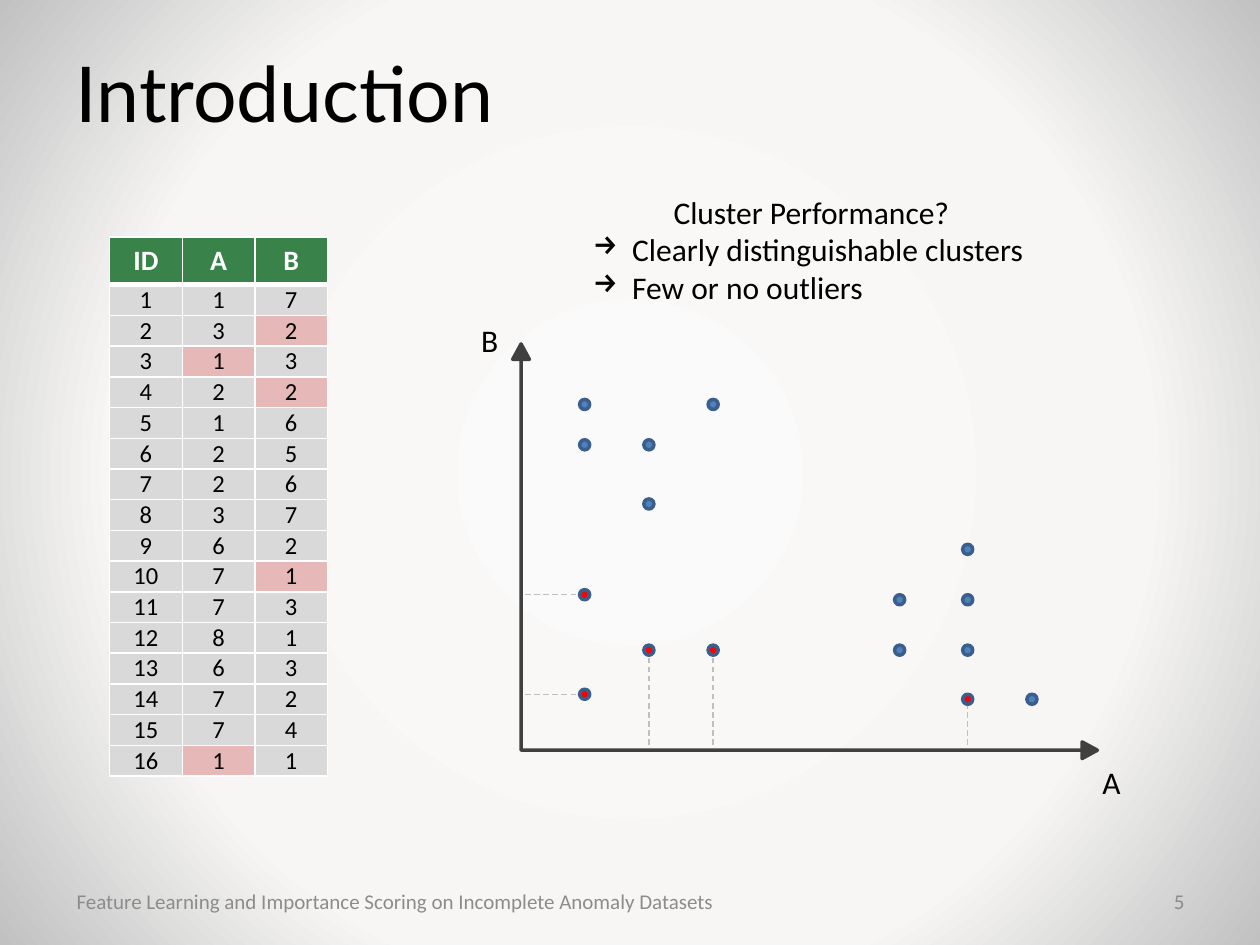
from lxml import etree
from pptx import Presentation, util as u
from pptx.dml.color import RGBColor
from pptx.enum import dml, shapes, text
from pptx.oxml import parse_xml
from pptx.oxml.ns import nsdecls, qn

ROWS = [(1, 7), (3, 2), (1, 3), (2, 2), (1, 6), (2, 5), (2, 6), (3, 7),
        (6, 2), (7, 1), (7, 3), (8, 1), (6, 3), (7, 2), (7, 4), (1, 1)]
LOST = {2: "B", 3: "A", 4: "B", 10: "B", 16: "A"}
COLS = {1: 46.4, 2: 51.5, 3: 56.6, 6: 71.4, 7: 76.8, 8: 81.9}
LINES = {1: 55.5, 2: 51.6, 3: 47.6, 4: 43.6, 5: 40, 6: 35.3, 7: 32.1}
MID, LEFT, RIGHT = text.PP_ALIGN.CENTER, text.PP_ALIGN.LEFT, text.PP_ALIGN.RIGHT


def hue(code):
    """Turn a hex string into a colour."""
    return RGBColor.from_string(code)


class Deck:
    """Holds the style and the current slide, on a grid of 100 by 75 cells."""

    def __init__(self, face="Calibri"):
        """Open a slide that has only a title."""
        self.face = face
        self.file = Presentation()
        self.file.slide_width, self.file.slide_height = u.Inches(10), u.Inches(7.5)
        self.slide = self.file.slides.add_slide(self.file.slide_layouts[5])

    def grid(self, *cells):
        """Turn grid cells into lengths."""
        return [u.Inches(n / 10) for n in cells]

    def font(self, para, size, code="000000", bold=False, face=None, align=LEFT):
        """Style one paragraph."""
        para.alignment = align
        font = para.font
        font.name, font.size, font.bold = face or self.face, u.Pt(size), bold
        font.color.rgb = hue(code)

    def glow(self, stops):
        """Fill the background with a round gradient."""
        self.slide.background.fill.solid()
        base = self.slide.element.find(".//" + qn("p:bgPr"))
        marks = "".join(f'<a:gs pos="{at * 1000}"><a:srgbClr val="{code}"/></a:gs>'
                        for at, code in stops)
        base.replace(base[0], parse_xml(
            f'<a:gradFill {nsdecls("a")} rotWithShape="1"><a:gsLst>{marks}</a:gsLst>'
            '<a:path path="circle"><a:fillToRect l="50000" t="50000" r="50000" b="50000"/>'
            '</a:path></a:gradFill>'))

    def title(self, words, *box):
        """Place the title."""
        head = self.slide.shapes.title
        head.left, head.top, head.width, head.height = self.grid(*box)
        frame = head.text_frame
        frame.text = words
        frame.auto_size = text.MSO_AUTO_SIZE.NONE
        frame.vertical_anchor = text.MSO_ANCHOR.MIDDLE
        self.font(frame.paragraphs[0], 44, face="Lato")

    def note(self, words, *box, size=18, code="000000", align=LEFT, wrap=False):
        """Add a text box of one line and return its frame."""
        frame = self.slide.shapes.add_textbox(*self.grid(*box)).text_frame
        frame.word_wrap = wrap
        if wrap:
            frame.vertical_anchor = text.MSO_ANCHOR.MIDDLE
        else:
            frame.auto_size = text.MSO_AUTO_SIZE.SHAPE_TO_FIT_TEXT
        frame.text = words
        self.font(frame.paragraphs[0], size, code, align=align)
        return frame

    def point(self, frame, words):
        """Add an arrow bullet to a frame."""
        para = frame.add_paragraph()
        para.text = words
        prop = para._p.get_or_add_pPr()
        dent = u.Inches(0.31)
        prop.set("marL", str(dent))
        prop.set("indent", str(-dent))
        etree.SubElement(prop, qn("a:buChar")).set("char", "→")
        self.font(para, 18)

    def shape(self, kind, fill, edge, *box):
        """Add a preset shape with a two point outline."""
        item = self.slide.shapes.add_shape(kind, *self.grid(*box))
        item.shadow.inherit = False
        item.fill.solid()
        item.fill.fore_color.rgb = hue(fill)
        item.line.color.rgb, item.line.width = hue(edge), u.Pt(2)
        return item

    def axes(self, *box):
        """Add both axes as one bent double arrow."""
        item = self.shape(shapes.MSO_SHAPE.LEFT_UP_ARROW, "404040", "404040", *box)
        for i, part in enumerate((0, 0.02, 0.037)):
            item.adjustments[i] = part
        item._element.spPr.xfrm.set("flipH", "1")

    def dot(self, x, y, fill):
        """Add a data point around its centre."""
        self.shape(shapes.MSO_SHAPE.OVAL, fill, "3A5F8C", x - 0.4, y - 0.4, 0.8, 0.8)

    def dash(self, *ends):
        """Add a dashed guide."""
        line = self.slide.shapes.add_connector(shapes.MSO_CONNECTOR.STRAIGHT, *self.grid(*ends))
        line.line.color.rgb, line.line.width = hue("BFBFBF"), u.Pt(0.75)
        line.line.dash_style = dml.MSO_LINE.DASH
        etree.SubElement(line._element.spPr, qn("a:effectLst"))

    def cell(self, cell, words, fill, row):
        """Fill, edge and letter one table cell."""
        cell.text = str(words)
        cell.vertical_anchor = text.MSO_ANCHOR.MIDDLE
        cell.fill.solid()
        cell.fill.fore_color.rgb = hue(fill)
        if row:
            cell.margin_top = cell.margin_bottom = 0
        size, code = (14, "000000") if row else (16, "FFFFFF")
        self.font(cell.text_frame.paragraphs[0], size, code, bold=not row, align=MID)
        wide = {"L": 1, "R": 1, "T": 3 if row == 1 else 1, "B": 1 if row else 3}
        for i, (side, width) in enumerate(wide.items()):
            cell._tc.get_or_add_tcPr().insert(i, parse_xml(
                f'<a:ln{side} {nsdecls("a")} w="{u.Pt(width)}"><a:solidFill>'
                f'<a:srgbClr val="FFFFFF"/></a:solidFill></a:ln{side}>'))

    def table(self, heads, rows, lost, *box):
        """Add the data table, with lost values tinted."""
        grid = self.slide.shapes.add_table(len(rows) + 1, len(heads), *self.grid(*box)).table
        for r, vals in enumerate([heads, *rows]):
            grid.rows[r].height = u.Inches(0.244 if r else 0.38)
            for c, val in enumerate(vals):
                tint = "E6B9B8" if lost.get(r) == heads[c] else "D9D9D9"
                self.cell(grid.cell(r, c), val, tint if r else "398249", r)

    def plot(self, rows, lost):
        """Draw each row as a point, with a guide to the axis of its known value."""
        for num, (a, b) in enumerate(rows, 1):
            x, y, gone = COLS[a], LINES[b], lost.get(num)
            if gone == "A":
                y -= 0.4
                self.dash(41.7, y, x - 0.4, y)
            elif gone == "B":
                self.dash(x, 59.1, x, y + 0.4)
            self.dot(x, y, "FF0000" if gone else "4F81BD")


def main():
    """Build the slide."""
    deck = Deck()
    deck.glow([(0, "FAFAFA"), (66, "F7F6F4"), (100, "C1C1C1")])
    deck.title("Introduction", 5, 3, 90, 8.5)
    foot = dict(size=12, code="8C8C8C", wrap=True)
    deck.note("Feature Learning and Importance Scoring on Incomplete Anomaly Datasets",
              5.1, 69.5, 72.4, 4, **foot)
    deck.note("5", 79.1, 69.5, 15.9, 4, align=RIGHT, **foot)
    deck.axes(40.7, 27.3, 46.4, 32.9)
    deck.note("A", 86.5, 60.1, 3.5, 4)
    deck.note("B", 37.2, 25, 3.5, 4)
    deck.plot(ROWS, LOST)
    data = [(num, *pair) for num, pair in enumerate(ROWS, 1)]
    deck.table(["ID", "A", "B"], data, LOST, 8.7, 18.8, 17.3, 42.9)
    frame = deck.note("Cluster Performance?", 46.1, 14.8, 36.6, 10.1, align=MID)
    for words in ("Clearly distinguishable clusters", "Few or no outliers"):
        deck.point(frame, words)
    deck.file.save("out.pptx")


if __name__ == "__main__":
    main()
